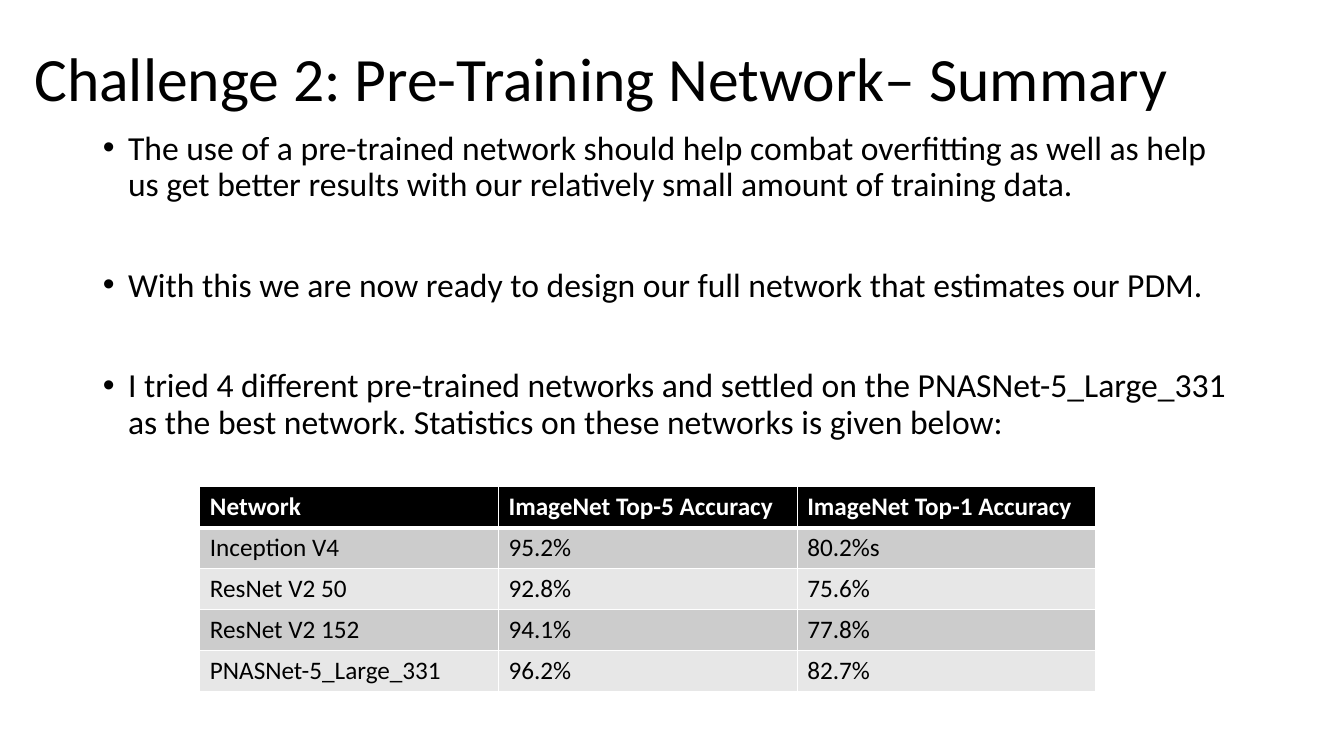
from lxml.etree import SubElement
from pptx import Presentation
from pptx.dml.color import RGBColor
from pptx.enum.text import MSO_ANCHOR as Anchor, MSO_AUTO_SIZE as AutoSize, PP_ALIGN as Align
from pptx.oxml.ns import qn
from pptx.util import Inches, Pt

COLOURS = {
    "text": "000000",
    "paper": "FFFFFF",
    "header": "000000",
    "odd": "CCCCCC",
    "even": "E7E7E7",
}
TITLE = "Challenge 2: Pre-Training Network– Summary"
POINTS = [
    "The use of a pre-trained network should help combat overfitting as well as help us get better results with our relatively small amount of training data.",
    "With this we are now ready to design our full network that estimates our PDM.",
    "I tried 4 different pre-trained networks and settled on the PNASNet-5_Large_331 as the best network. Statistics on these networks is given below:",
]
ACCURACY = [
    ("Network", "ImageNet Top-5 Accuracy", "ImageNet Top-1 Accuracy"),
    ("Inception V4", "95.2%", "80.2%s"),
    ("ResNet V2 50", "92.8%", "75.6%"),
    ("ResNet V2 152", "94.1%", "77.8%"),
    ("PNASNet-5_Large_331", "96.2%", "82.7%"),
]


class SlideBuilder:
    font = "Calibri"
    title_size, body_size, table_size = 44, 24, 18
    line_spacing = 0.9
    first_gap, point_gap = 10, 46
    thin, thick = 1, 3

    def __init__(self, presentation):
        self.width = presentation.slide_width
        self.height = presentation.slide_height
        self.slide = presentation.slides.add_slide(presentation.slide_layouts[1])
        fill = self.slide.background.fill
        fill.solid()
        fill.fore_color.rgb = RGBColor.from_string(COLOURS["paper"])

    def area(self, left, top, width, height):
        return (
            round(self.width * left / 100),
            round(self.height * top / 100),
            round(self.width * width / 100),
            round(self.height * height / 100),
        )

    def place(self, shape, *percents):
        shape.left, shape.top, shape.width, shape.height = self.area(*percents)
        frame = shape.text_frame
        frame.word_wrap = True
        frame.auto_size = AutoSize.NONE
        return frame

    def text_run(self, paragraph, text, size, colour="text", bold=False):
        paragraph.alignment = Align.LEFT
        run = paragraph.add_run()
        run.text = text
        run.font.name = self.font
        run.font.size = Pt(size)
        run.font.bold = bold
        run.font.color.rgb = RGBColor.from_string(COLOURS[colour])

    def title(self, text, *percents):
        frame = self.place(self.slide.shapes.title, *percents)
        frame.vertical_anchor = Anchor.MIDDLE
        paragraph = frame.paragraphs[0]
        paragraph.line_spacing = self.line_spacing
        self.text_run(paragraph, text, self.title_size)

    def bullets(self, points, *percents):
        frame = self.place(self.slide.placeholders[1], *percents)
        frame.vertical_anchor = Anchor.TOP
        for index, point in enumerate(points):
            paragraph = frame.add_paragraph() if index else frame.paragraphs[0]
            paragraph.line_spacing = self.line_spacing
            paragraph.space_before = Pt(self.point_gap if index else self.first_gap)
            self.text_run(paragraph, point, self.body_size)
            properties = paragraph._p.get_or_add_pPr()
            properties.set("marL", str(Inches(0.25)))
            properties.set("indent", str(-Inches(0.25)))
            SubElement(properties, qn("a:buFont"), typeface="Arial")
            SubElement(properties, qn("a:buChar"), char="•")

    def borders(self, cell, row):
        properties = cell._tc.get_or_add_tcPr()
        weights = {
            "L": self.thin,
            "R": self.thin,
            "T": self.thick if row == 1 else self.thin,
            "B": self.thick if row == 0 else self.thin,
        }
        for side, weight in weights.items():
            line = SubElement(properties, qn(f"a:ln{side}"), w=str(Pt(weight)))
            fill = SubElement(line, qn("a:solidFill"))
            SubElement(fill, qn("a:srgbClr"), val=COLOURS["paper"])

    def table(self, rows, *percents):
        frame = self.slide.shapes.add_table(len(rows), len(rows[0]), *self.area(*percents))
        for row, values in enumerate(rows):
            heading = row == 0
            band = "header" if heading else "odd" if row % 2 else "even"
            for column, value in enumerate(values):
                cell = frame.table.cell(row, column)
                self.borders(cell, row)
                cell.fill.solid()
                cell.fill.fore_color.rgb = RGBColor.from_string(COLOURS[band])
                colour = "paper" if heading else "text"
                self.text_run(cell.text_frame.paragraphs[0], value, self.table_size, colour, heading)


def main():
    presentation = Presentation()
    presentation.slide_width = Inches(13.33)
    presentation.slide_height = Inches(7.5)
    builder = SlideBuilder(presentation)
    builder.title(TITLE, 1.8, 1.07, 86.27, 19.33)
    builder.bullets(POINTS, 6.9, 16.67, 86.27, 78.8)
    builder.table(ACCURACY, 14.87, 64.4, 66.67, 27.04)
    presentation.save("out.pptx")


if __name__ == "__main__":
    main()
